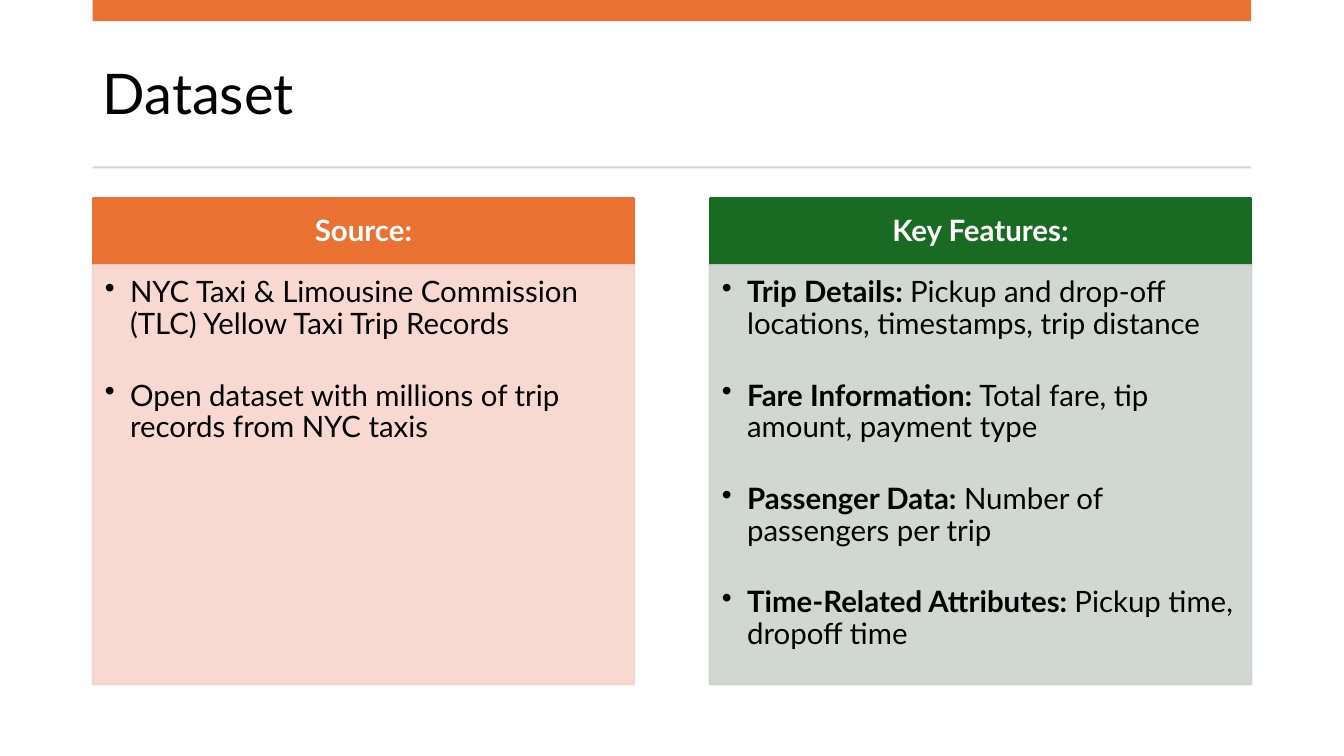
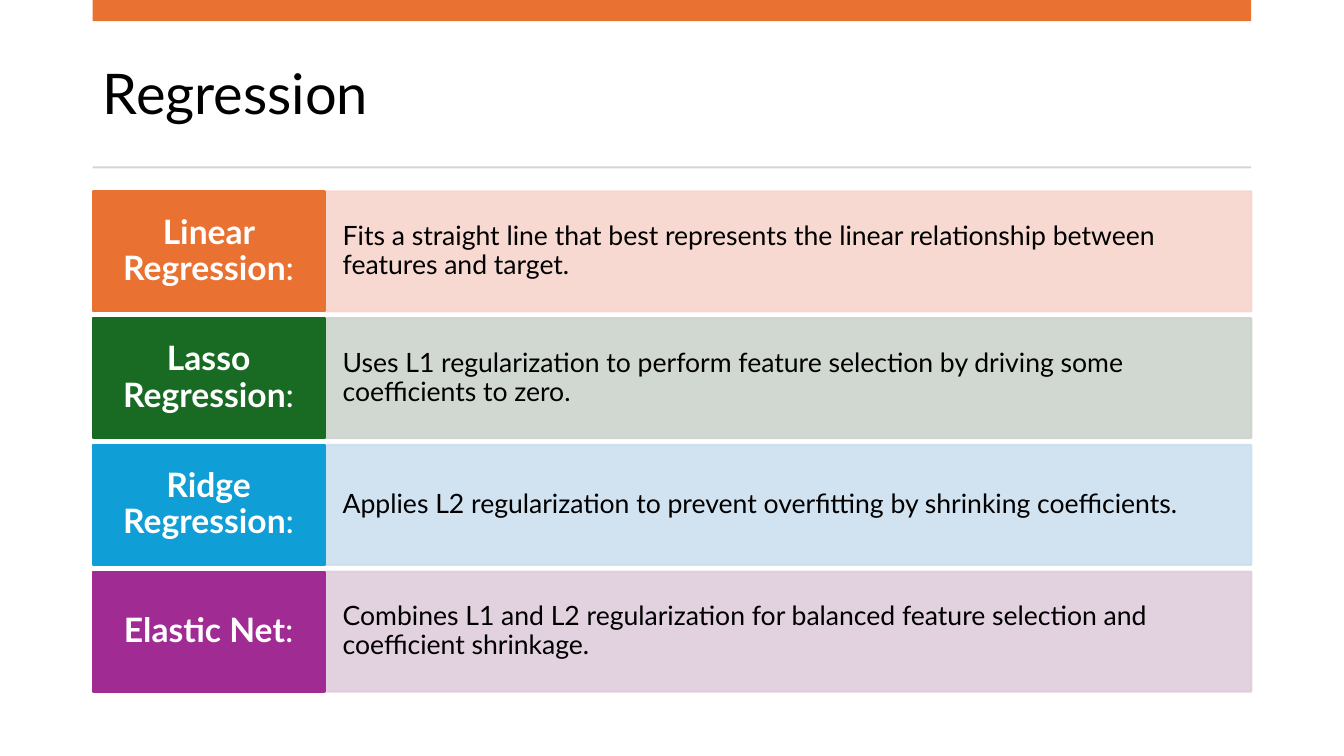
from dataclasses import dataclass

from lxml import etree
from pptx import Presentation
from pptx.dml.color import RGBColor
from pptx.enum.shapes import MSO_SHAPE
from pptx.enum.text import MSO_ANCHOR, MSO_AUTO_SIZE, PP_ALIGN
from pptx.oxml.ns import qn
from pptx.util import Inches, Pt

RECT = MSO_SHAPE.RECTANGLE
TOP, MIDDLE = MSO_ANCHOR.TOP, MSO_ANCHOR.MIDDLE
LEFT, CENTER = PP_ALIGN.LEFT, PP_ALIGN.CENTER
NO_FIT = MSO_AUTO_SIZE.NONE
TITLE_ONLY = 5
SLIDE_W, SLIDE_H = Inches(13.33), Inches(7.5)


@dataclass(frozen=True)
class Theme:
    """Colours, font, type sizes and line spacing of the deck."""
    font: str = "Lato"
    text: str = "000000"
    inverse: str = "FFFFFF"
    rule: str = "D5D5D5"
    orange: tuple[str, str] = ("E97132", "F7D5CE")
    green: tuple[str, str] = ("196B24", "CCD4CD")
    blue: tuple[str, str] = ("0F9ED5", "CCDFEF")
    purple: tuple[str, str] = ("A02B93", "DFCDDC")
    title_size: int = 40
    label_size: int = 24
    panel_size: int = 21
    row_size: int = 19
    outline: float = 1.5
    leading: float = 0.9
    bullet_gap: float = 28.5
    bullet_indent: float = 0.25
    tint_opacity: int = 90


@dataclass(frozen=True)
class Box:
    """A rectangle in percent of the slide's width and height."""
    x: float
    y: float
    w: float
    h: float

    def place(self) -> tuple[int, int, int, int]:
        """Return left, top, width and height in EMU."""
        return (round(SLIDE_W * self.x / 100), round(SLIDE_H * self.y / 100),
                round(SLIDE_W * self.w / 100), round(SLIDE_H * self.h / 100))


@dataclass(frozen=True)
class Style:
    """How the text of one kind of box is set; insets are inches."""
    size: int
    color: str
    align: PP_ALIGN
    anchor: MSO_ANCHOR
    insets: tuple[float, float, float, float]
    bulleted: bool = False


@dataclass(frozen=True)
class Span:
    """A piece of text in one weight."""
    text: str
    bold: bool = False


@dataclass(frozen=True)
class Panel:
    """A headed column of bullets."""
    heading: str
    colors: tuple[str, str]
    items: list[list[Span]]


@dataclass(frozen=True)
class Row:
    """A method name beside its description."""
    label: str
    colors: tuple[str, str]
    detail: str


THEME = Theme()
MARGIN, CONTENT = 6.9, 86.2
BAND = Box(MARGIN, 0, CONTENT, 2.8)
TITLE = Box(MARGIN, 4.93, CONTENT, 15.73)
RULE = Box(MARGIN, 22, CONTENT, 0.27)
PANEL_W, PANEL_Y, HEADING_H, BODY_H = 40.29, 26.27, 8.8, 55.47
ROW_Y, ROW_H, ROW_PITCH, LABEL_W = 25.33, 15.87, 16.76, 17.25

TITLE_STYLE = Style(THEME.title_size, THEME.text, LEFT, MIDDLE, (0.1, 0.05, 0.1, 0.05))
HEADING_STYLE = Style(THEME.panel_size, THEME.inverse, CENTER, MIDDLE, (0.16, 0.09, 0.16, 0.09))
BULLET_STYLE = Style(THEME.panel_size, THEME.text, LEFT, TOP, (0.12, 0.12, 0.16, 0.18), True)
LABEL_STYLE = Style(THEME.label_size, THEME.inverse, CENTER, MIDDLE, (0.12, 0.12, 0.12, 0.12))
DETAIL_STYLE = Style(THEME.row_size, THEME.text, LEFT, MIDDLE, (0.18, 0.3, 0.18, 0.3))

PANELS = [
    Panel("Source:", THEME.orange, [
        [Span("NYC Taxi & Limousine Commission (TLC) Yellow Taxi Trip Records")],
        [Span("Open dataset with millions of trip records from NYC taxis")],
    ]),
    Panel("Key Features:", THEME.green, [
        [Span("Trip Details: ", True),
         Span("Pickup and drop-off locations, timestamps, trip distance")],
        [Span("Fare Information: ", True), Span("Total fare, tip amount, payment type")],
        [Span("Passenger Data:", True), Span(" Number of passengers per trip")],
        [Span("Time-Related Attributes: ", True), Span("Pickup time, dropoff time")],
    ]),
]
ROWS = [
    Row("Linear Regression", THEME.orange,
        "Fits a straight line that best represents the linear relationship "
        "between features and target."),
    Row("Lasso Regression", THEME.green,
        "Uses L1 regularization to perform feature selection by driving some "
        "coefficients to zero."),
    Row("Ridge Regression", THEME.blue,
        "Applies L2 regularization to prevent overfitting by shrinking coefficients."),
    Row("Elastic Net", THEME.purple,
        "Combines L1 and L2 regularization for balanced feature selection and "
        "coefficient shrinkage."),
]


def set_all(target, values: dict) -> None:
    """Set each named attribute on the target."""
    for name, value in values.items():
        setattr(target, name, value)


def add_bullet(p) -> None:
    """Give a paragraph a hanging bullet and room below it."""
    p.space_after = Pt(THEME.bullet_gap)
    pPr = p._p.get_or_add_pPr()
    indent = Inches(THEME.bullet_indent)
    pPr.set("marL", str(indent))
    pPr.set("indent", str(-indent))
    etree.SubElement(pPr, qn("a:buChar")).set("char", "•")


def write(sp, paragraphs: list[list[Span]], style: Style) -> None:
    """Fill a shape with styled paragraphs."""
    tf = sp.text_frame
    left, top, right, bottom = map(Inches, style.insets)
    set_all(tf, {"word_wrap": True, "auto_size": NO_FIT, "vertical_anchor": style.anchor,
                 "margin_left": left, "margin_top": top,
                 "margin_right": right, "margin_bottom": bottom})
    for i, spans in enumerate(paragraphs):
        p = tf.add_paragraph() if i else tf.paragraphs[0]
        set_all(p, {"alignment": style.align, "line_spacing": THEME.leading})
        if style.bulleted:
            add_bullet(p)
        for span in spans:
            r = p.add_run()
            r.text = span.text
            set_all(r.font, {"name": THEME.font, "size": Pt(style.size), "bold": span.bold})
            r.font.color.rgb = RGBColor.from_string(style.color)


def add_rect(s, box: Box, color: str, outlined: bool = False, opacity: int = 100):
    """Draw a flat rectangle, optionally outlined in its own colour."""
    sp = s.shapes.add_shape(RECT, *box.place())
    sp.shadow.inherit = False
    rgb = RGBColor.from_string(color)
    sp.fill.solid()
    sp.fill.fore_color.rgb = rgb
    if outlined:
        sp.line.color.rgb = rgb
        sp.line.width = Pt(THEME.outline)
    else:
        sp.line.fill.background()
    if opacity < 100:
        for clr in sp.element.spPr.iter(qn("a:srgbClr")):
            etree.SubElement(clr, qn("a:alpha")).set("val", str(opacity * 1000))
    return sp


def add_titled_slide(prs, title: str):
    """Add a slide with its title, top band and rule."""
    s = prs.slides.add_slide(prs.slide_layouts[TITLE_ONLY])
    sp = s.shapes.title
    set_all(sp, dict(zip(("left", "top", "width", "height"), TITLE.place())))
    write(sp, [[Span(title)]], TITLE_STYLE)
    add_rect(s, BAND, THEME.orange[0])
    add_rect(s, RULE, THEME.rule)
    return s


def add_panel(s, panel: Panel, x: float) -> None:
    """Draw a heading with its bullets below."""
    strong, tint = panel.colors
    heading = add_rect(s, Box(x, PANEL_Y, PANEL_W, HEADING_H), strong, True)
    write(heading, [[Span(panel.heading, True)]], HEADING_STYLE)
    body = add_rect(s, Box(x, PANEL_Y + HEADING_H, PANEL_W, BODY_H), tint, True,
                    THEME.tint_opacity)
    write(body, panel.items, BULLET_STYLE)


def add_row(s, row: Row, y: float) -> None:
    """Draw a description with its label to the left."""
    strong, tint = row.colors
    detail = add_rect(s, Box(MARGIN + LABEL_W, y, CONTENT - LABEL_W, ROW_H), tint, True,
                      THEME.tint_opacity)
    write(detail, [[Span(row.detail)]], DETAIL_STYLE)
    label = add_rect(s, Box(MARGIN, y, LABEL_W, ROW_H), strong, True)
    write(label, [[Span(row.label, True), Span(":")]], LABEL_STYLE)


def main() -> None:
    """Build and save the deck."""
    prs = Presentation()
    set_all(prs, {"slide_width": SLIDE_W, "slide_height": SLIDE_H})
    s = add_titled_slide(prs, "Dataset")
    step = (CONTENT - PANEL_W) / (len(PANELS) - 1)
    for i, panel in enumerate(PANELS):
        add_panel(s, panel, MARGIN + i * step)
    s = add_titled_slide(prs, "Regression")
    for i, row in enumerate(ROWS):
        add_row(s, row, ROW_Y + i * ROW_PITCH)
    prs.save("out.pptx")


if __name__ == "__main__":
    main()
